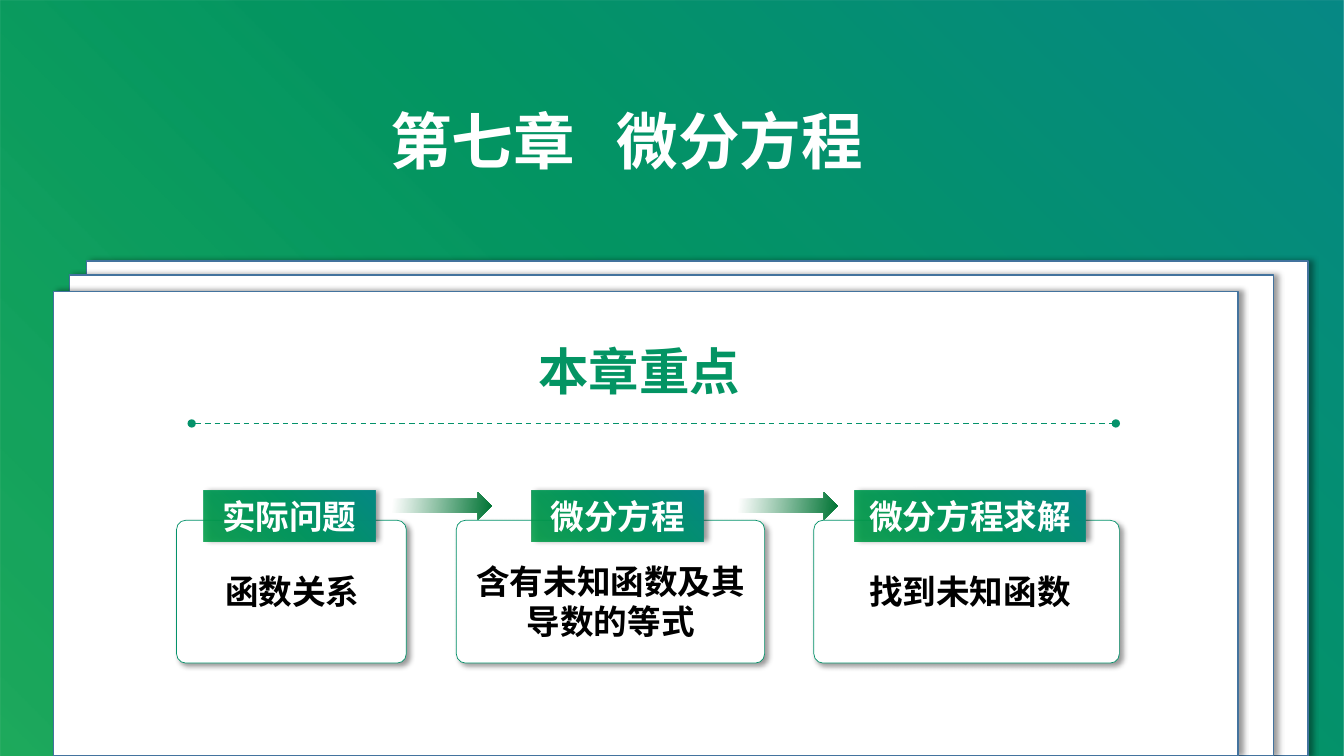
"""Build the chapter opener for differential equations."""
from dataclasses import dataclass

from lxml import etree
from pptx import Presentation
from pptx.dml.color import RGBColor
from pptx.enum import dml, shapes, text
from pptx.oxml import parse_xml
from pptx.oxml.ns import nsdecls, qn
from pptx.util import Cm, Pt

SLIDE = (33.87, 19.05)
TITLE = {"text": "第七章\t微分方程", "box": (9.58, 2.46, 16.48, 2.13), "tab": 5.71}
HEADING = {"text": "本章重点", "box": (13.11, 8.45, 6, 1.85)}
PAPERS = [(2.18, 6.58, 30.78), (1.75, 6.93, 30.35), (1.35, 7.34, 29.85)]
DIVIDER = {"left": 4.83, "right": 28.12, "top": 10.67}
STEPS = [
    {"label": "实际问题", "body": ["函数关系"], "card": (4.45, 5.79),
     "tag": (5.13, 4.32), "body_box": (5.41, 14.27, 3.91, 1.27)},
    {"label": "微分方程", "body": ["含有未知函数及其", "导数的等式"], "card": (11.5, 7.77),
     "tag": (13.41, 4.32), "body_box": (11.73, 14, 7.32, 2.31)},
    {"label": "微分方程求解", "body": ["找到未知函数"], "card": (20.51, 7.7),
     "tag": (21.54, 5.82), "body_box": (21.64, 14.25, 5.61, 1.27)},
]
CARD_TOP, CARD_HEIGHT = 13.11, 3.6
TAG_TOP, TAG_HEIGHT = 12.37, 1.27
ARROW_LEFTS, ARROW_TOP, ARROW_SIZE = (9.8, 18.52), 12.4, (2.59, 0.69)


@dataclass(frozen=True)
class Theme:
    """Colours, fonts and type sizes."""
    white: str = "FFFFFF"
    black: str = "000000"
    green: str = "04926A"
    heading: str = "039463"
    paper_edge: str = "43739E"
    brand: tuple = ((0, "009E47", 88), (55, "039463", 100), (100, "068885", 100))
    arrow: tuple = ((4, "FFFFFF", 100), (100, "007434", 100))
    font: str = "Calibri"
    cjk: str = "Noto Sans CJK SC"
    title_size: int = 44
    heading_size: int = 36
    text_size: int = 24


T = Theme()
RADIAL = ('<a:path path="circle"><a:fillToRect l="0" t="100000" r="100000" b="0"/></a:path>')
LINEAR = '<a:lin ang="300000" scaled="0"/>'


def rgb(value):
    """Turn a hex value into a colour."""
    return RGBColor.from_string(value)


def set_gradient(sp, stops, direction):
    """Fill a shape with a gradient."""
    sp.fill.solid()
    spPr = sp.element.spPr
    stop_xml = "".join(
        f'<a:gs pos="{pos * 1000}"><a:srgbClr val="{color}">'
        f'<a:alpha val="{alpha * 1000}"/></a:srgbClr></a:gs>'
        for pos, color, alpha in stops)
    spPr.replace(spPr.find(qn("a:solidFill")), parse_xml(
        f'<a:gradFill {nsdecls("a")} rotWithShape="1">'
        f'<a:gsLst>{stop_xml}</a:gsLst>{direction}</a:gradFill>'))


def set_shadow(sp, angle):
    """Give a shape a soft outer shadow."""
    sp.element.spPr.find(qn("a:effectLst")).append(parse_xml(
        f'<a:outerShdw {nsdecls("a")} blurRad="{Pt(4)}" dist="{Pt(3)}" '
        f'dir="{angle * 60000}" algn="tl" rotWithShape="0"><a:srgbClr val="{T.black}">'
        '<a:alpha val="40000"/></a:srgbClr></a:outerShdw>'))


def add_block(s, kind, box, fill=None, line=None, width=1.0, shadow=None):
    """Add a preset shape with its box in centimetres."""
    sp = s.shapes.add_shape(kind, *map(Cm, box))
    sp.shadow.inherit = False
    if fill:
        sp.fill.solid()
        sp.fill.fore_color.rgb = rgb(fill)
    if line:
        sp.line.color.rgb = rgb(line)
        sp.line.width = Pt(width)
    else:
        sp.line.fill.background()
    if shadow is not None:
        set_shadow(sp, shadow)
    return sp


def write(sp, lines, size, color, font=T.font, align=text.PP_ALIGN.CENTER, wrap=True, tab=None):
    """Write formatted paragraphs into a shape."""
    tf = sp.text_frame
    frame_format = {"word_wrap": wrap, "auto_size": text.MSO_AUTO_SIZE.SHAPE_TO_FIT_TEXT}
    for name, value in frame_format.items():
        setattr(tf, name, value)
    for i, content in enumerate(lines):
        p = tf.add_paragraph() if i else tf.paragraphs[0]
        p.alignment = align
        if tab:
            tabs = etree.SubElement(p._p.get_or_add_pPr(), qn("a:tabLst"))
            etree.SubElement(tabs, qn("a:tab"), pos=str(Cm(tab)), algn="l")
        r = p.add_run()
        r.text = content
        for name, value in {"name": font, "size": Pt(size), "bold": True}.items():
            setattr(r.font, name, value)
        r.font.color.rgb = rgb(color)
        r.font._element.find(qn("a:latin")).addnext(
            parse_xml(f'<a:ea {nsdecls("a")} typeface="{T.cjk}"/>'))


def add_divider(s):
    """Draw the dashed line with round ends."""
    top = Cm(DIVIDER["top"])
    line = s.shapes.add_connector(
        shapes.MSO_CONNECTOR.STRAIGHT, Cm(DIVIDER["left"]), top, Cm(DIVIDER["right"]), top)
    line.line.color.rgb = rgb(T.green)
    line.line.width = Pt(1)
    line.line.dash_style = dml.MSO_LINE.DASH
    ln = line.line._get_or_add_ln()
    for end in ("a:headEnd", "a:tailEnd"):
        etree.SubElement(ln, qn(end), type="oval")
    etree.SubElement(line._element.spPr, qn("a:effectLst"))


def add_step(s, step):
    """Draw one card with its tag and text."""
    left, width = step["card"]
    card = add_block(s, shapes.MSO_SHAPE.ROUNDED_RECTANGLE,
                     (left, CARD_TOP, width, CARD_HEIGHT), T.white, T.green, 0.5, 45)
    card.adjustments[0] = 0.065
    left, width = step["tag"]
    tag = add_block(s, shapes.MSO_SHAPE.RECTANGLE,
                    (left, TAG_TOP, width, TAG_HEIGHT), shadow=0)
    set_gradient(tag, T.brand, RADIAL)
    write(tag, [step["label"]], T.text_size, T.white)
    body = s.shapes.add_textbox(*map(Cm, step["body_box"]))
    write(body, step["body"], T.text_size, T.black, wrap=False)


def main():
    """Build and save the slide."""
    prs = Presentation()
    prs.slide_width, prs.slide_height = map(Cm, SLIDE)
    s = prs.slides.add_slide(prs.slide_layouts[5])

    backdrop = add_block(s, shapes.MSO_SHAPE.RECTANGLE, (0, 0, *SLIDE))
    set_gradient(backdrop, T.brand, RADIAL)
    for left, top, width in PAPERS:
        add_block(s, shapes.MSO_SHAPE.RECTANGLE, (left, top, width, SLIDE[1] - top),
                  T.white, T.paper_edge, shadow=0)

    heading = s.shapes.add_textbox(*map(Cm, HEADING["box"]))
    write(heading, [HEADING["text"]], T.heading_size, T.heading, T.cjk)
    add_divider(s)
    for step in STEPS:
        add_step(s, step)
    for left in ARROW_LEFTS:
        arrow = add_block(s, shapes.MSO_SHAPE.RIGHT_ARROW, (left, ARROW_TOP, *ARROW_SIZE))
        set_gradient(arrow, T.arrow, LINEAR)

    title = s.shapes.title
    for name, value in zip(("left", "top", "width", "height"), TITLE["box"]):
        setattr(title, name, Cm(value))
    write(title, [TITLE["text"]], T.title_size, T.white, T.cjk,
          text.PP_ALIGN.LEFT, tab=TITLE["tab"])
    title.element.getparent().append(title.element)
    prs.save("out.pptx")


if __name__ == "__main__":
    main()
